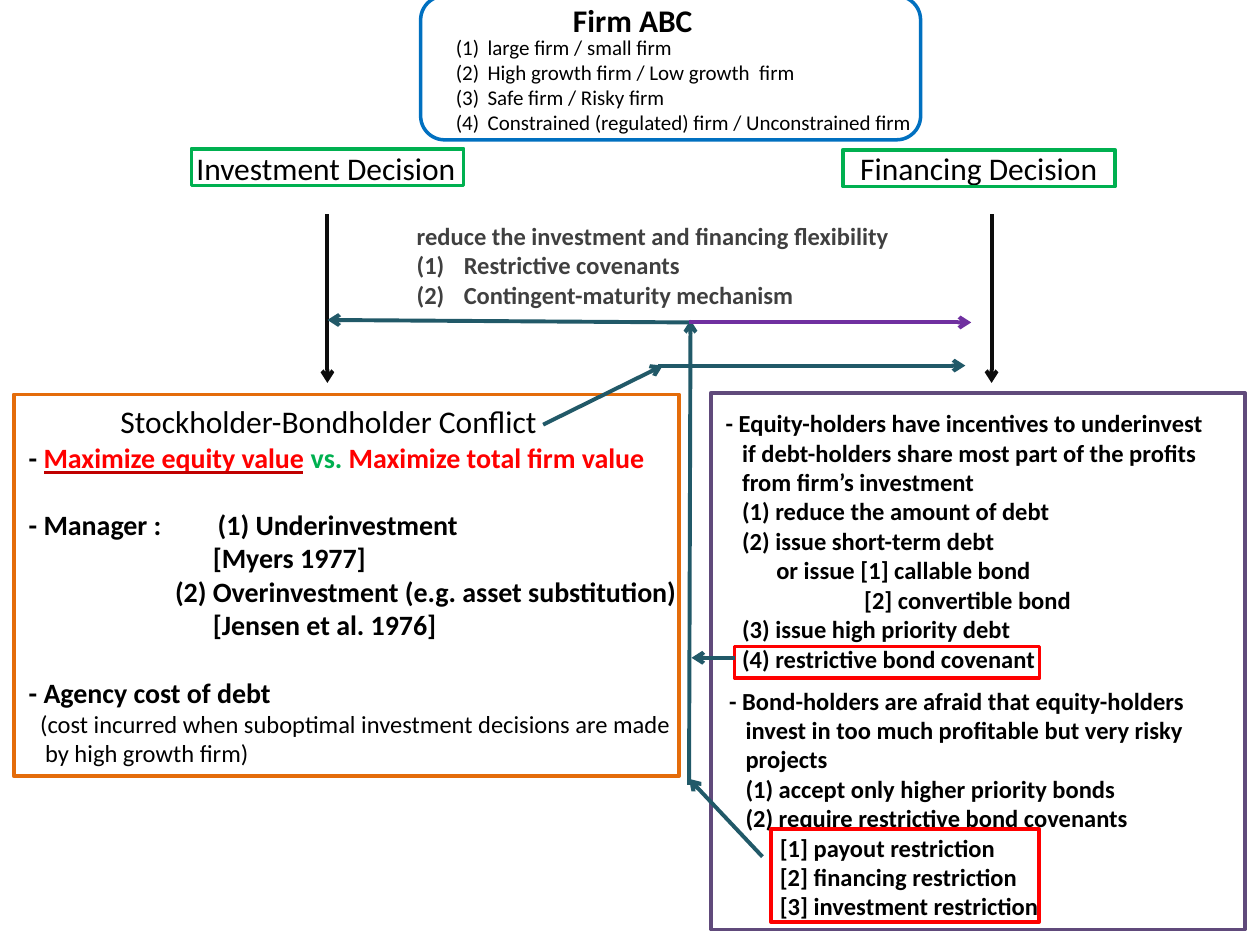
"""Build the slide on investment and financing decisions of Firm ABC."""
from lxml import etree
from pptx import Presentation, util as u
from pptx.dml.color import RGBColor
from pptx.enum import shapes, text
from pptx.oxml.ns import qn

BLACK, RED, GREEN, TEAL = "000000", "FF0000", "00B050", "215968"


def rgb(value):
    return RGBColor.from_string(value)


def write(sp, box, size, bold, color, paras):
    """Place a text holder and fill it; paras are (indent, runs, options)."""
    sp.left, sp.top, sp.width, sp.height = map(u.Cm, box)
    tf = sp.text_frame
    frame = dict(word_wrap=True, auto_size=text.MSO_AUTO_SIZE.NONE,
                 vertical_anchor=text.MSO_ANCHOR.TOP, margin_left=u.Cm(0.25),
                 margin_right=0, margin_top=u.Cm(0.13), margin_bottom=u.Cm(0.13))
    for name, value in frame.items():
        setattr(tf, name, value)
    for i, (indent, runs, opts) in enumerate(paras):
        p = tf.paragraphs[0] if i == 0 else tf.add_paragraph()
        pPr = p._p.get_or_add_pPr()
        numbered = opts.get("numbered")
        pPr.set("marL", str(u.Cm(indent)))
        pPr.set("indent", str(-u.Cm(indent) if numbered else 0))
        if numbered:
            etree.SubElement(pPr, qn("a:buAutoNum"), type="arabicParenBoth")
        else:
            etree.SubElement(pPr, qn("a:buNone"))
        if "tab" in opts:
            tabs = etree.SubElement(pPr, qn("a:tabLst"))
            etree.SubElement(tabs, qn("a:tab"), pos=str(u.Cm(opts["tab"])), algn="l")
        p.alignment = text.PP_ALIGN.LEFT
        p.space_before = u.Pt(opts.get("before", 0))
        for words, hue in [(runs, color)] if isinstance(runs, str) else runs:
            r = p.add_run()
            r.text = words
            font = dict(name="Calibri", size=u.Pt(opts.get("size", size)),
                        bold=opts.get("bold", bold))
            for name, value in font.items():
                setattr(r.font, name, value)
            r.font.color.rgb = rgb(hue)


prs = Presentation()
prs.slide_width, prs.slide_height = u.Cm(25.4), u.Cm(19.05)
s = prs.slides.add_slide(prs.slide_layouts[1])

num = {"numbered": True}
write(s.shapes.title, (11.3, -0.1, 3.4, 1.02), 18, True, BLACK, [(0, "Firm ABC", {})])
write(s.placeholders[1], (8.94, 0.56, 9.96, 2.31), 12, False, BLACK, [
    (0.64, "large firm / small firm", num),
    (0.64, "High growth firm / Low growth  firm", num),
    (0.64, "Safe firm / Risky firm", num),
    (0.64, "Constrained (regulated) firm / Unconstrained firm", num),
])

plain = {"size": 14, "bold": False}
boxes = [
    ((3.71, 2.87, 5.79, 1.02), 18, False, BLACK, [(0, "Investment Decision", {})]),
    ((17.09, 2.87, 5.79, 1.02), 18, False, BLACK, [(0, "Financing Decision", {})]),
    ((0.33, 7.98, 13.59, 7.7), 16, True, BLACK, [
        (1.85, "Stockholder-Bondholder Conflict", {"size": 18, "bold": False}),
        (0, [("-", BLACK), (" Maximize equity value ", RED), ("vs. ", GREEN),
             ("Maximize total firm value", RED)], {}),
        (0, "- Manager :\t(1) Underinvestment", {"before": 19.2, "tab": 2.95}),
        (3.71, "[Myers 1977]", {}),
        (2.95, "(2) Overinvestment (e.g. asset substitution)", {}),
        (3.71, "[Jensen et al. 1976]", {}),
        (0, "- Agency cost of debt", {"before": 19.2}),
        (0.23, "(cost incurred when suboptimal investment decisions are made", plain),
        (0.33, "by high growth firm)", plain),
    ]),
    ((14.38, 8.1, 10.21, 5.64), 14, True, BLACK, [
        (0, "- Equity-holders have incentives to underinvest", {}),
        (0.33, "if debt-holders share most part of the profits", {}),
        (0.33, "from firm’s investment", {}),
        (0.33, "(1) reduce the amount of debt", {}),
        (0.33, "(2) issue short-term debt", {}),
        (1.02, "or issue [1] callable bond", {}),
        (2.79, "[2] convertible bond", {}),
        (0.33, "(3) issue high priority debt", {}),
        (0.33, "(4) restrictive bond covenant", {}),
    ]),
    ((14.45, 13.69, 9.83, 5.05), 14, True, BLACK, [
        (0, "- Bond-holders are afraid that equity-holders", {}),
        (0.33, "invest in too much profitable but very risky", {}),
        (0.33, "projects", {}),
        (0.33, "(1) accept only higher priority bonds", {}),
        (0.33, "(2) require restrictive bond covenants", {}),
        (1.02, "[1] payout restriction", {}),
        (1.02, "[2] financing restriction", {}),
        (1.02, "[3] investment restriction", {}),
    ]),
    ((8.15, 4.32, 10.39, 2.06), 14, True, "404040", [
        (0, "reduce the investment and financing flexibility", {}),
        (0.95, "Restrictive covenants", num),
        (0.95, "Contingent-maturity mechanism", num),
    ]),
]
for box, *content in boxes:
    write(s.shapes.add_textbox(0, 0, 0, 0), box, *content)

RECT, ROUND = shapes.MSO_SHAPE.RECTANGLE, shapes.MSO_SHAPE.ROUNDED_RECTANGLE
frames = [
    (RECT, (0.28, 7.95, 13.41, 7.7), "E46C0A"),
    (RECT, (14.33, 7.92, 10.77, 10.82), "604A7B"),
    (RECT, (15.54, 16.71, 5.41, 1.88), RED),
    (RECT, (14.81, 13.03, 6.15, 0.64), RED),
    (ROUND, (8.48, -0.08, 10.08, 2.9), "0070C0"),
    (RECT, (3.86, 3, 5.49, 0.74), GREEN),
    (RECT, (16.99, 3.02, 5.49, 0.74), GREEN),
]
for kind, box, color in frames:
    sp = s.shapes.add_shape(kind, *map(u.Cm, box))
    sp.shadow.inherit = False
    sp.fill.background()
    sp.line.color.rgb = rgb(color)
    sp.line.width = u.Pt(2)

lines = [
    ((6.6, 4.32, 6.6, 7.72), "0D0D0D", True),
    ((19.99, 4.32, 19.99, 7.72), "0D0D0D", True),
    ((0.89, 9.53, 6.1, 9.53), "C00000", False),
    ((10.95, 8.56, 13.36, 7.37), TEAL, True),
    ((13.26, 7.37, 19.46, 7.37), TEAL, True),
    ((15.37, 17.27, 13.89, 15.7), TEAL, True),
    ((13.89, 15.82, 13.92, 6.45), TEAL, True),
    ((13.89, 6.5, 6.6, 6.45), TEAL, True),
    ((13.89, 6.5, 19.58, 6.5), "7030A0", True),
    ((14.81, 13.26, 13.94, 13.26), TEAL, True),
]
for ends, color, arrow in lines:
    sp = s.shapes.add_connector(shapes.MSO_CONNECTOR.STRAIGHT, *map(u.Cm, ends))
    sp.line.color.rgb = rgb(color)
    sp.line.width = u.Pt(2.25 if arrow else 1.5)
    if arrow:
        etree.SubElement(sp.line._get_or_add_ln(), qn("a:tailEnd"), type="arrow")
    etree.SubElement(sp._element.spPr, qn("a:effectLst"))

prs.save("out.pptx")
